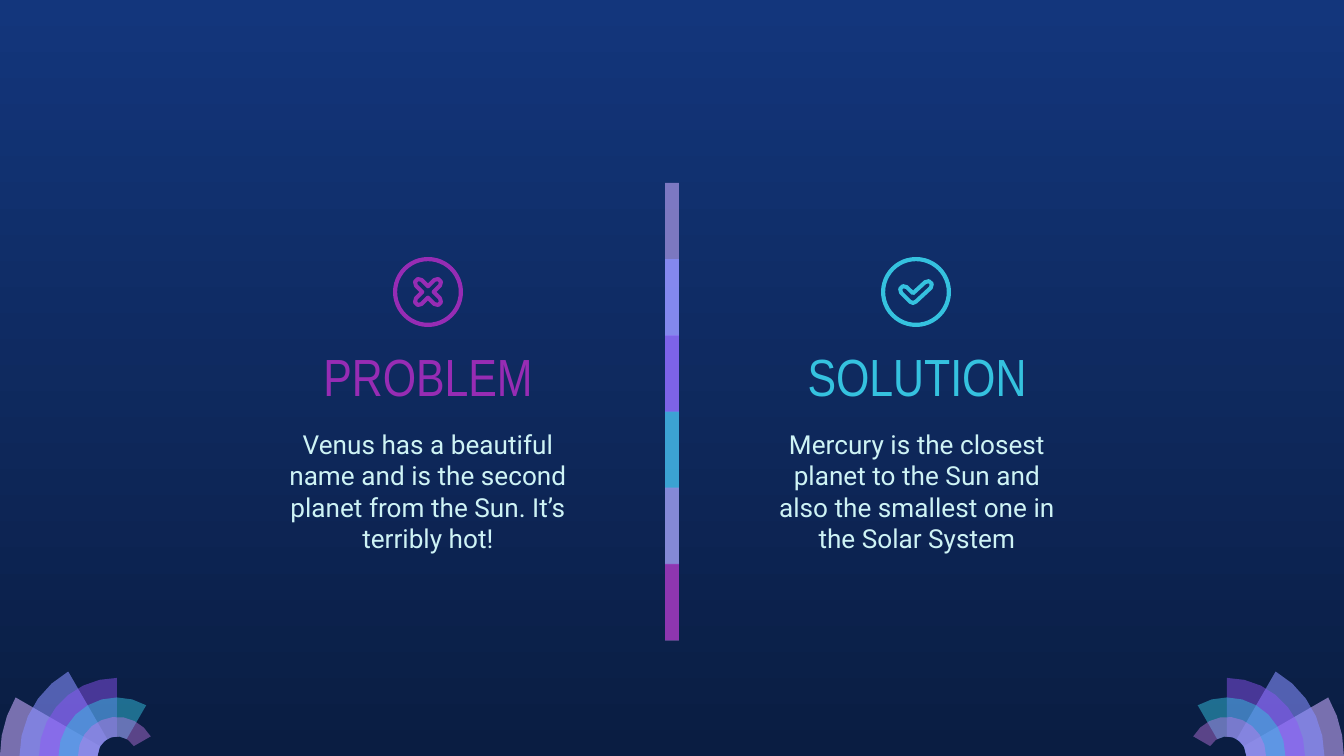
from math import cos, radians, sin, sqrt

from lxml import etree
from pptx import Presentation
from pptx import util as u
from pptx.dml.color import RGBColor
from pptx.enum import shapes, text
from pptx.oxml.ns import qn

PX = 914400 / 134.4  # EMU in one px
WIDE, HIGH = 1344, 756

TOP = RGBColor(0x13, 0x36, 0x7C)
BASE = RGBColor(0x0A, 0x1D, 0x42)
PALE = RGBColor(0xCE, 0xF3, 0xF5)
LILAC = RGBColor(0xC8, 0xAC, 0xFD)
BLUE = RGBColor(0x87, 0x8F, 0xFF)
VIOLET = RGBColor(0x91, 0x54, 0xF8)
CYAN = RGBColor(0x35, 0xC2, 0xDF)
PINK = RGBColor(0xCA, 0x7B, 0xEB)
PURPLE = RGBColor(0x97, 0x2C, 0xB4)


def arc(x, y, r, start, end):
    """Points along an arc, in degrees counterclockwise; small arcs need fewer."""
    count = max(1, round(abs(end - start) * sqrt(r) / 110))
    turns = [radians(start + (end - start) * i / count) for i in range(count + 1)]
    return [(x + r * cos(t), y - r * sin(t)) for t in turns]


def draw(points):
    """Closed outline through points given in px."""
    dots = [(x * PX, y * PX) for x, y in points]
    pen = slide.shapes.build_freeform(*dots[0], scale=1.0)
    pen.add_line_segments(dots[1:], close=True)
    shape = pen.convert_to_shape()
    shape.shadow.inherit = False
    return shape


deck = Presentation()
deck.slide_width, deck.slide_height = u.Emu(round(WIDE * PX)), u.Emu(round(HIGH * PX))
slide = deck.slides.add_slide(deck.slide_layouts[5])

# Background
back = slide.background.fill
back.gradient()
back.gradient_angle = 270
for stop, color, place in zip(back.gradient_stops, (TOP, BASE), (0, 1)):
    stop.color.rgb = color
    stop.position = place

# Corner fans: each ring is narrower and reaches 30 degrees further
tints = []
RINGS = [(LILAC, 58), (BLUE, 58), (VIOLET, 46), (CYAN, 49), (PINK, 42)]
for right in (False, True):
    for i, (color, solid) in enumerate(RINGS):
        end = 150 - 30 * i
        ring = arc(117, HIGH, 19.5 * (6 - i), 180, end) + arc(117, HIGH, 19.5, end, 180)
        if right:
            ring = [(WIDE - x, y) for x, y in ring]
        tints.append((draw(ring), color, solid))

# Headings and texts
COLUMNS = [
    (270, "PROBLEM", PURPLE,
     "Venus has a beautiful name and is the second planet from the Sun. It’s terribly hot!"),
    (759, "SOLUTION", CYAN,
     "Mercury is the closest planet to the Sun and also the smallest one in the Solar System"),
]
for i, (left, head, color, body) in enumerate(COLUMNS):
    for kind, words, top, tall, font, size, ink, anchor in (
        ("head", head, 336, 85, "Arial Narrow", 28, color, text.MSO_ANCHOR.BOTTOM),
        ("body", body, 415, 151, "Roboto", 14, PALE, text.MSO_ANCHOR.TOP),
    ):
        place = [u.Emu(round(n * PX)) for n in (left, top, 316, tall)]
        if kind == "head" and i == 0:
            box = slide.shapes.title
            box.left, box.top, box.width, box.height = place
        else:
            box = slide.shapes.add_textbox(*place)
        frame = box.text_frame
        frame.word_wrap = True
        frame.auto_size = text.MSO_AUTO_SIZE.NONE
        frame.vertical_anchor = anchor
        frame.margin_left = frame.margin_right = u.Inches(0.1)
        frame.margin_top = frame.margin_bottom = u.Inches(0.1)
        frame.text = words
        para = frame.paragraphs[0]
        para.alignment = text.PP_ALIGN.CENTER
        para.font.name, para.font.size = font, u.Pt(size)
        para.font.color.rgb = ink

# Cross: four round-ended arms
cross = []
for turn in (45, 135, 225, 315):
    tip = arc(428, 292, 13, turn, turn)[0]
    cross += arc(*tip, 4, turn - 90, turn + 90)
    cross += arc(428, 292, 4 * sqrt(2), turn + 45, turn + 45)[:1]

# Check mark: two round-ended arms from one elbow
check = arc(928, 285, 4, -45, 135) + arc(913, 299, 4 * sqrt(2), 90, 90)[:1]
check += arc(904, 290, 4, 45, 225) + arc(913, 299, 4, 225, 315)

# Icons
for mid, mark, color in ((428, cross, PURPLE), (916, check, CYAN)):
    place = [u.Emu(round(n * PX)) for n in (mid - 35, 257, 70, 70)]
    ring = slide.shapes.add_shape(shapes.MSO_SHAPE.DONUT, *place)
    ring.adjustments[0] = 0.06
    ring.shadow.inherit = False
    tints.append((ring, color, 100))
    sign = draw(mark)
    sign.fill.background()
    sign.line.color.rgb = color
    sign.line.width = u.Emu(round(4 * PX))

# Divider: each bar covers the lower half of the one before
BARS = [(LILAC, 59), (BLUE, 74), (VIOLET, 53), (CYAN, 76), (PINK, 56), (PURPLE, 74)]
for i, (color, solid) in enumerate(BARS):
    tall = 76 if color == PURPLE else 153
    place = [u.Emu(round(n * PX)) for n in (665, 183 + 76.2 * i, 14, tall)]
    bar = slide.shapes.add_shape(shapes.MSO_SHAPE.RECTANGLE, *place)
    bar.shadow.inherit = False
    tints.append((bar, color, solid))

# Fills with their opacity in percent
for shape, color, solid in tints:
    shape.line.fill.background()
    shape.fill.solid()
    shape.fill.fore_color.rgb = color
    if solid < 100:
        ink = shape.element.spPr.find(qn("a:solidFill")).find(qn("a:srgbClr"))
        etree.SubElement(ink, qn("a:alpha")).set("val", str(solid * 1000))

deck.save("out.pptx")
